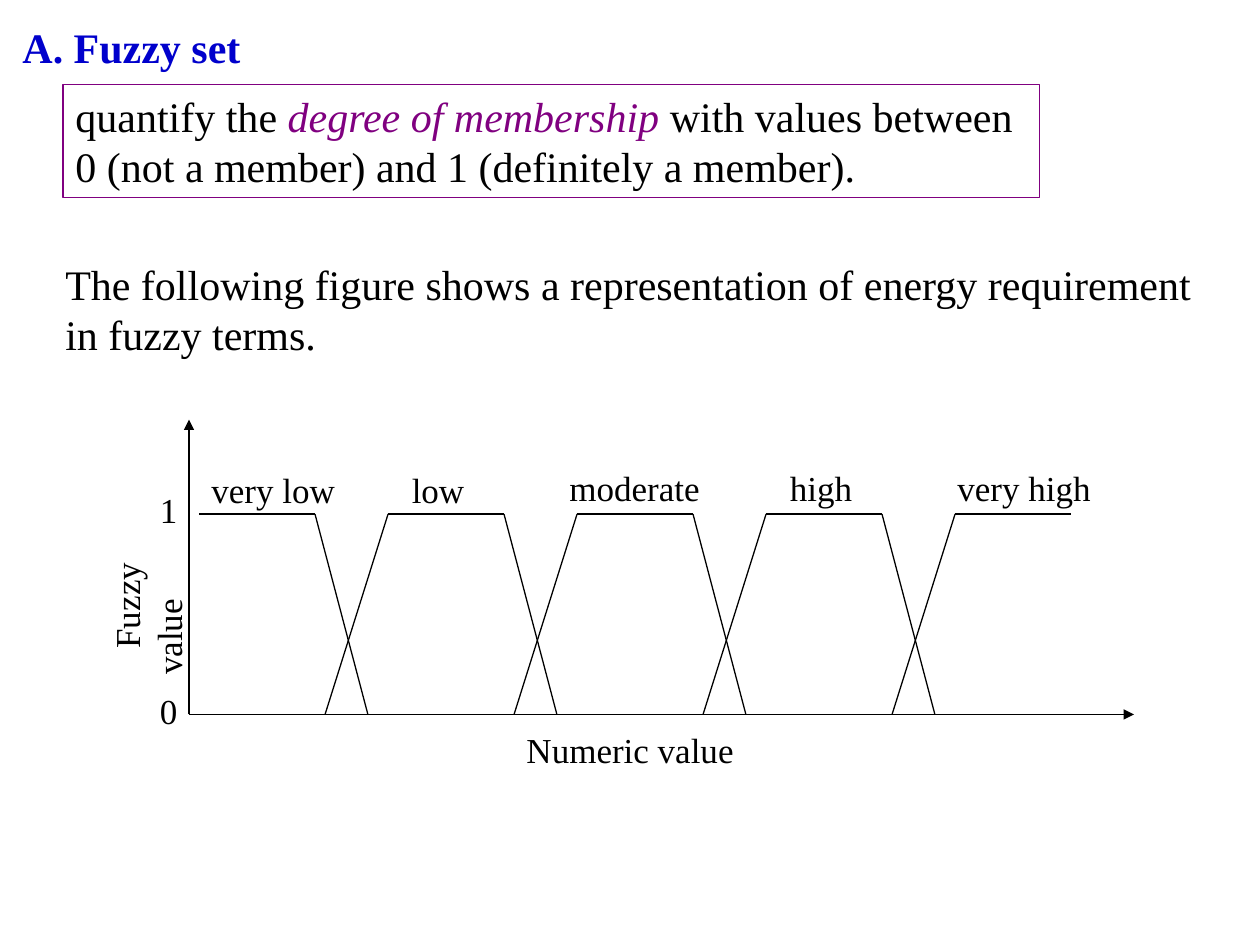
import pptx
import pptx.util
import pptx.dml.color
import pptx.enum.shapes
import pptx.enum.text
import pptx.oxml.ns
import lxml.etree

Inches, Pt = pptx.util.Inches, pptx.util.Pt

THEME = {
    "font": "Times New Roman",
    "ink": "000000", "head": "0000CC", "mark": "800080",
    "body": 24, "label": 20,
    "axis": 1, "thin": 0.75,
}

# Content: runs are (text, colour, style)
TITLE = [("A. Fuzzy set", "head", "bold")]
RULE = [
    ("quantify the ", "ink", ""),
    ("degree of membership", "mark", "italic"),
    (" with values between 0 (not a member) and 1 (definitely a member).", "ink", ""),
]
INTRO = [("The following figure shows a representation of energy requirement "
          "in fuzzy terms.", "ink", "")]
LABELS = [  # text, left, top, width
    ("very low", 1.58, 3.67, 1.33),
    ("low", 3.17, 3.67, 0.67),
    ("moderate", 4.42, 3.65, 1.25),
    ("high", 6.17, 3.65, 0.75),
    ("very high", 7.5, 3.65, 1.42),
    ("0", 1.17, 5.42, 0.5),
    ("1", 1.17, 3.83, 0.42),
    ("Numeric value", 4.08, 5.73, 1.92),
]

# Figure geometry
LEFT, RIGHT, PEAK = 1.5, 9, 3.33       # axis ends
ONE, ZERO = 4.08, 5.67                 # heights of the values 1 and 0
SETS, FIRST, STEP, FLAT = 5, 1.58, 1.5, 0.92
RISE, FALL = 0.5, 0.42                 # widths of the slopes

deck = pptx.Presentation()
deck.slide_width, deck.slide_height = Inches(10), Inches(7.5)
slide = deck.slides.add_slide(deck.slide_layouts[6])


def color(name):
    return pptx.dml.color.RGBColor.from_string(THEME[name])


def write(shape, runs, size):
    frame = shape.text_frame
    frame.word_wrap = True
    para = frame.paragraphs[0]
    para.alignment = pptx.enum.text.PP_ALIGN.LEFT
    for text, ink, style in runs:
        run = para.add_run()
        run.text = text
        font = run.font
        font.name, font.size = THEME["font"], Pt(THEME[size])
        font.bold, font.italic = style == "bold", style == "italic"
        font.color.rgb = color(ink)
    return frame


def add_text(runs, size, *place):
    box = slide.shapes.add_textbox(*map(Inches, place))
    write(box, runs, size)
    return box


def add_line(start, end, width="thin", arrow=False):
    line = slide.shapes.add_connector(
        pptx.enum.shapes.MSO_CONNECTOR.STRAIGHT, *map(Inches, start + end))
    line.line.color.rgb = color("ink")
    line.line.width = Pt(THEME[width])
    qn = pptx.oxml.ns.qn
    if arrow:
        lxml.etree.SubElement(line.line._get_or_add_ln(), qn("a:tailEnd"), type="triangle")
    lxml.etree.SubElement(line._element.spPr, qn("a:effectLst"))


# Title
title = add_text(TITLE, "body", 0.08, 0.08, 2, 0.58)
title.text_frame.vertical_anchor = pptx.enum.text.MSO_ANCHOR.MIDDLE

# Framed definition
frame = slide.shapes.add_shape(
    pptx.enum.shapes.MSO_SHAPE.RECTANGLE, *map(Inches, (0.5, 0.67, 7.75, 0.9)))
frame.shadow.inherit = False
frame.fill.background()
frame.line.color.rgb = color("mark")
frame.line.width = Pt(THEME["thin"])
write(frame, RULE, "body").vertical_anchor = pptx.enum.text.MSO_ANCHOR.TOP

# Axes
add_line((LEFT, ZERO), (RIGHT, ZERO), "axis", True)
add_line((LEFT, ZERO), (LEFT, PEAK), "axis", True)

# Membership curves: the outer sets have one slope only
for i in range(SETS):
    start = FIRST + i * STEP
    end = start + FLAT
    if i > 0:
        add_line((start, ONE), (start - RISE, ZERO))
    add_line((start, ONE), (end, ONE))
    if i < SETS - 1:
        add_line((end, ONE), (end + FALL, ZERO))

# Labels
for text, left, top, width in LABELS:
    add_text([(text, "ink", "")], "label", left, top, width, 0.44)

# Vertical axis name, first line indented
name = add_text([("Fuzzy value", "ink", "")], "label", 0.53, 4.46, 1.25, 0.74)
name.rotation = 270
name.text_frame.paragraphs[0]._p.get_or_add_pPr().set("indent", str(Inches(0.21)))

# Introduction to the figure
add_text(INTRO, "body", 0.42, 2, 9.33, 0.9)

deck.save("out.pptx")
